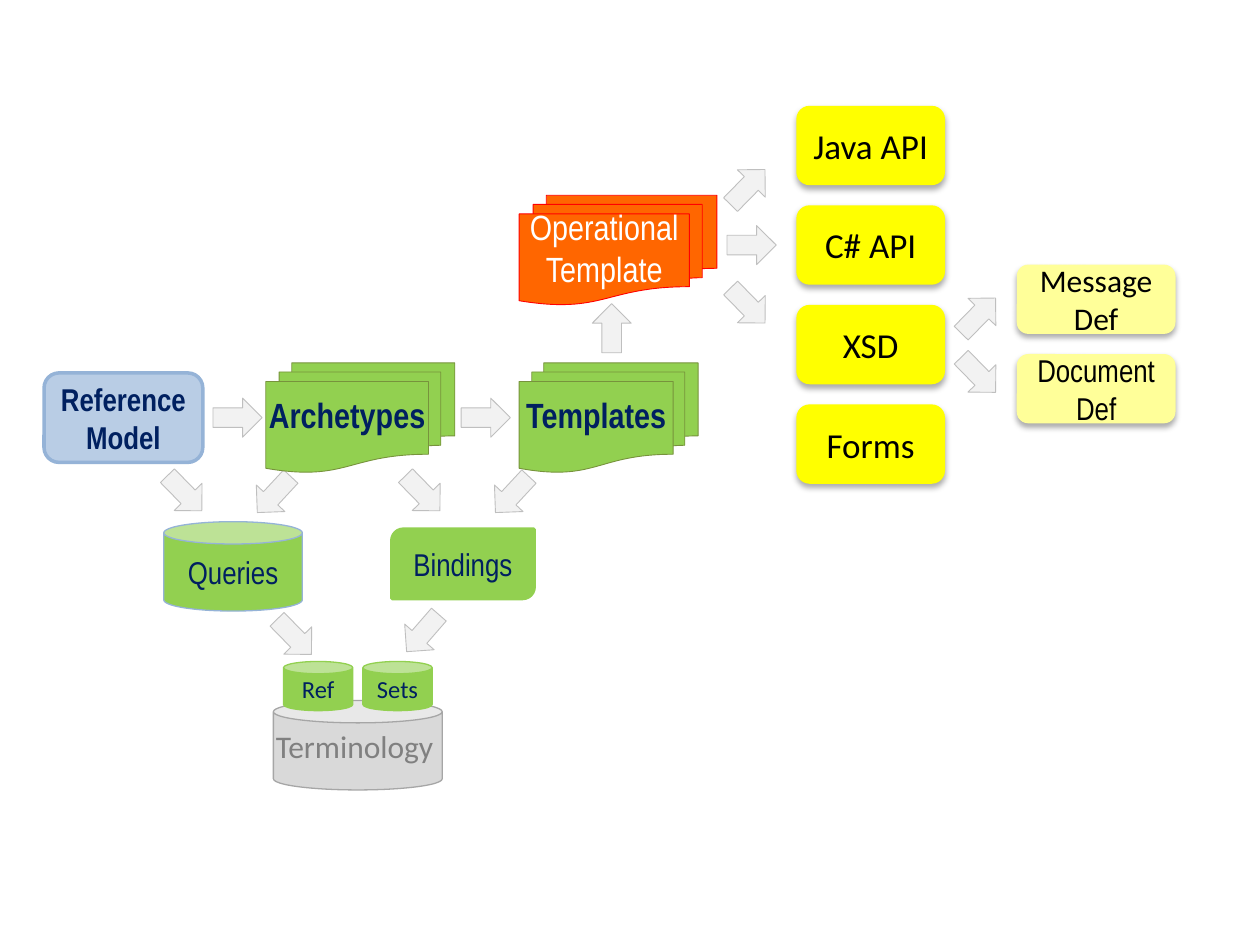
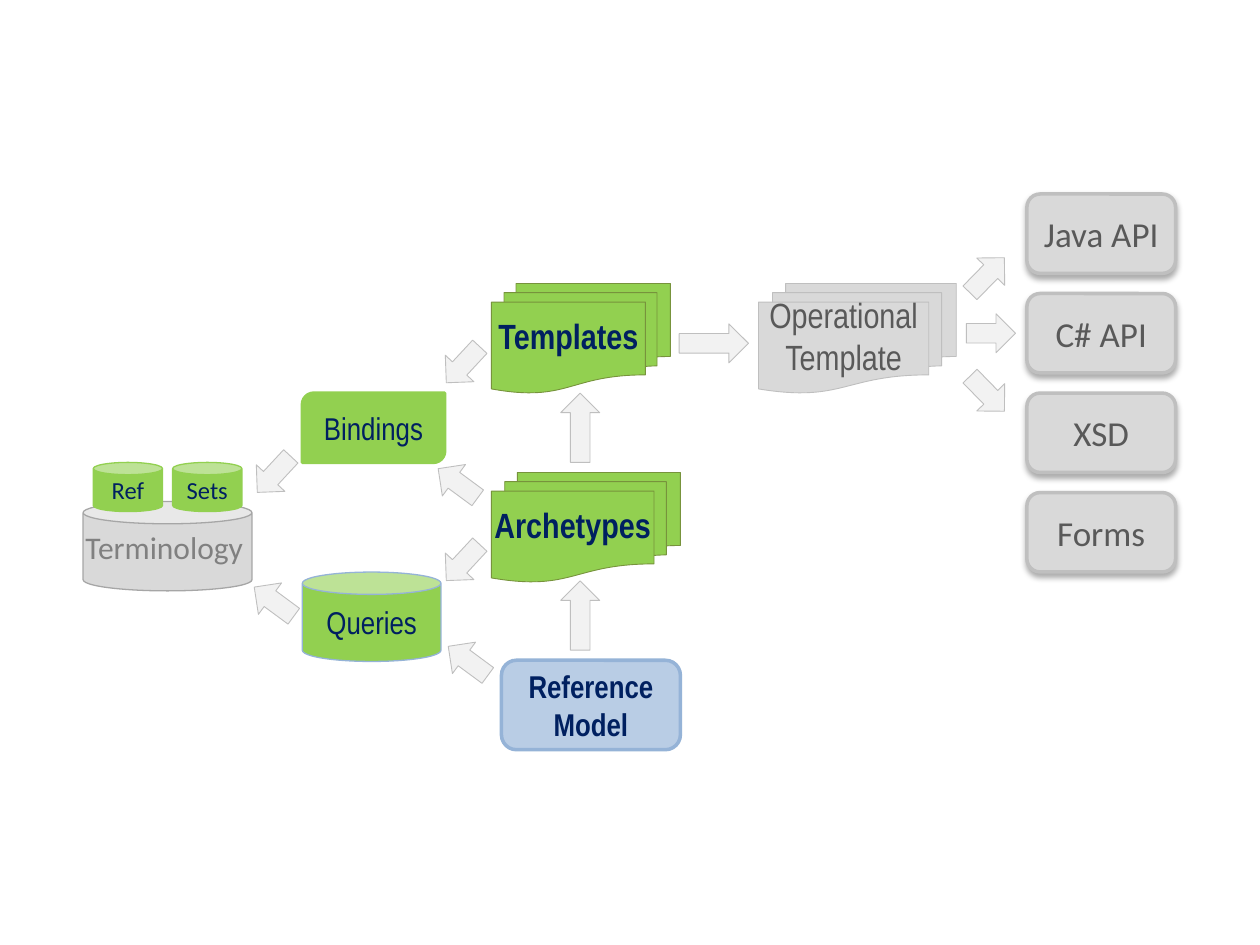
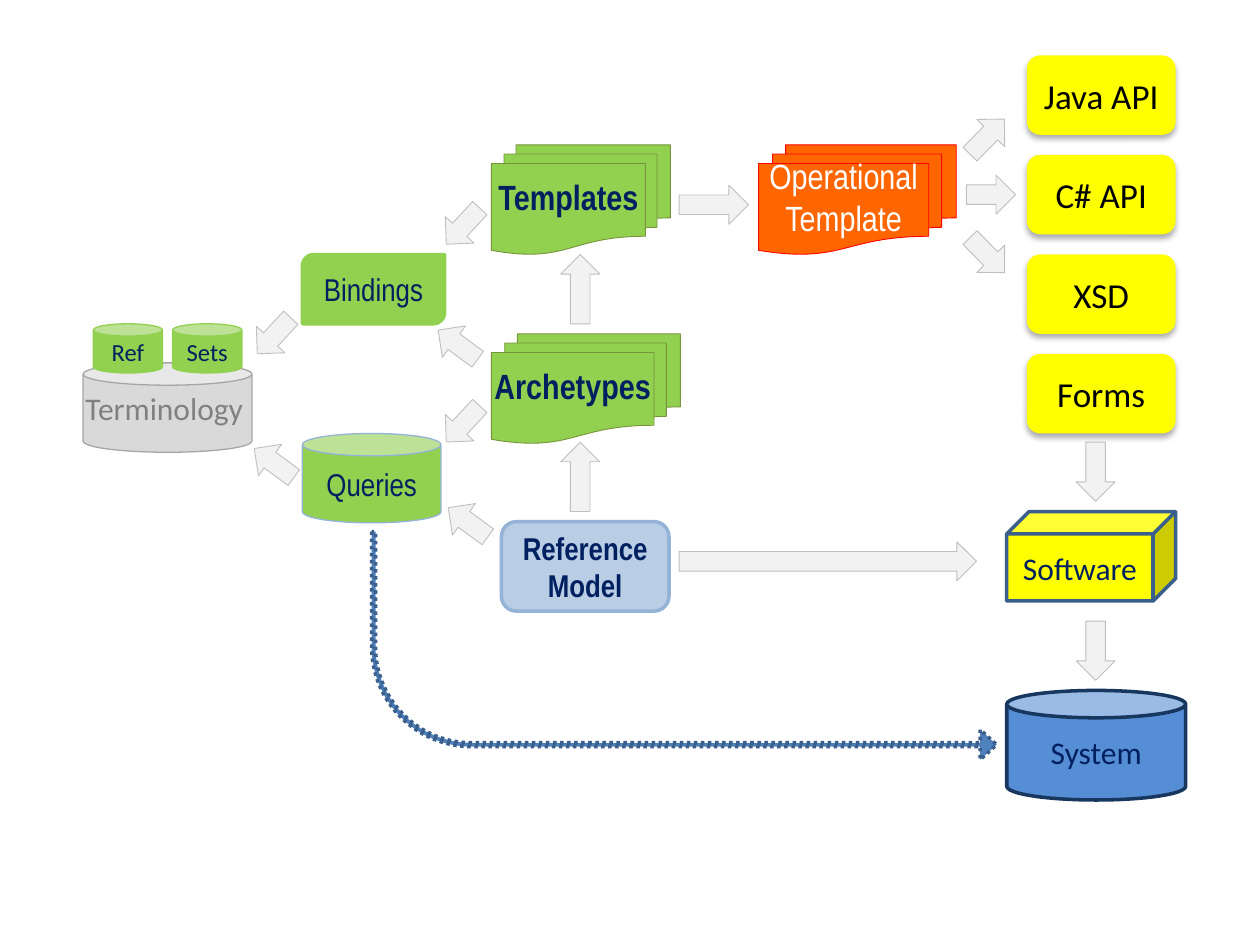
import dataclasses

import lxml.etree
import pptx
import pptx.dml.color
import pptx.enum.dml
import pptx.enum.shapes
import pptx.enum.text
import pptx.oxml.ns
import pptx.util

Inches = pptx.util.Inches
Pt = pptx.util.Pt
Shape = pptx.enum.shapes.MSO_SHAPE
qn = pptx.oxml.ns.qn


@dataclasses.dataclass(frozen=True)
class Theme:
    narrow: str = "Arial Narrow"
    sans: str = "Calibri"
    large: int = 20
    medium: int = 18
    small: int = 14
    hairline: float = 0.5
    thin: float = 0.75
    thick: float = 2
    navy: str = "002060"
    black: str = "000000"
    white: str = "FFFFFF"
    green: str = "92D050"
    dark_green: str = "77933C"
    pale_blue: str = "B9CDE5"
    soft_blue: str = "95B3D7"
    blue: str = "4F81BD"
    steel: str = "3A5F8C"
    bright_blue: str = "558ED5"
    deep_blue: str = "17375E"
    yellow: str = "FFFF00"
    pale_yellow: str = "FFFF99"
    orange: str = "FF6600"
    red: str = "FF0000"
    light_gray: str = "F2F2F2"
    gray: str = "D9D9D9"
    edge_gray: str = "BFBFBF"
    can_edge: str = "A6A6A6"
    label_gray: str = "808080"
    muted_text: str = "595959"


THEME = Theme()


@dataclasses.dataclass(frozen=True)
class Look:
    preset: int
    fill: str
    line: str | None = None
    weight: float = THEME.thin
    font: str = THEME.sans
    size: int = THEME.medium
    color: str = THEME.navy
    bold: bool = False
    insets: tuple = (0.1, 0.05, 0.1, 0.05)
    shadow: bool = False


DOCUMENT = Look(Shape.FLOWCHART_MULTIDOCUMENT, THEME.green, THEME.dark_green,
                THEME.hairline, THEME.narrow, THEME.large, bold=True,
                insets=(0, 0, 0, 0.16))
OPERATIONAL = dataclasses.replace(DOCUMENT, fill=THEME.orange, line=THEME.red,
                                  color=THEME.white, bold=False)
OPERATIONAL_MUTED = dataclasses.replace(OPERATIONAL, fill=THEME.gray, line=THEME.edge_gray,
                                        color=THEME.muted_text)
API = Look(Shape.ROUNDED_RECTANGLE, THEME.yellow, size=THEME.large,
           color=THEME.black, shadow=True)
API_MUTED = dataclasses.replace(API, fill=THEME.gray, line=THEME.edge_gray,
                                weight=THEME.thick, color=THEME.muted_text)
MESSAGE = dataclasses.replace(API, fill=THEME.pale_yellow, size=THEME.medium)
TIGHT = (0.04, 0.05, 0.04, 0.05)
SUBSET = Look(Shape.CAN, THEME.green, THEME.green, size=THEME.small)
ARROW = Look(Shape.RIGHT_ARROW, THEME.light_gray, THEME.edge_gray, THEME.hairline)
TERMINOLOGY = Look(Shape.CAN, THEME.gray, THEME.can_edge, color=THEME.label_gray)
QUERY_PATH = Look(Shape.BENT_ARROW, THEME.blue, THEME.steel, THEME.thick)

# Label: look, width, height
NODES = {
    "Reference Model": (Look(Shape.ROUNDED_RECTANGLE, THEME.pale_blue, THEME.soft_blue,
                             THEME.thick, THEME.narrow, bold=True), 1.42, 0.71),
    "Archetypes": (DOCUMENT, 1.5, 0.87),
    "Templates": (DOCUMENT, 1.42, 0.87),
    "Bindings": (Look(Shape.ROUND_2_DIAG_RECTANGLE, THEME.green, THEME.green,
                      THEME.thick, THEME.narrow, insets=TIGHT), 1.13, 0.55),
    "Queries": (Look(Shape.CAN, THEME.green, THEME.soft_blue, font=THEME.narrow), 1.1, 0.71),
    "Ref": (SUBSET, 0.55, 0.39),
    "Sets": (SUBSET, 0.55, 0.39),
    "Message Def": (MESSAGE, 1.26, 0.55),
    "Document Def": (dataclasses.replace(MESSAGE, font=THEME.narrow, insets=TIGHT), 1.26, 0.55),
    "Software": (Look(Shape.CUBE, THEME.yellow, THEME.steel, THEME.thick), 1.34, 0.71),
    "System": (Look(Shape.CAN, THEME.bright_blue, THEME.deep_blue, THEME.thick), 1.42, 0.87),
}
APIS = ("Java API", "C# API", "XSD", "Forms")
API_PITCH = 0.79
UP, DOWN = 270, 90
RISING, FALLING = 314.4, 45.6
DOWN_LEFT, UP_LEFT = 132.9, 216.4


def rgb(color):
    return pptx.dml.color.RGBColor.from_string(color)


class Diagram:
    def __init__(self, prs):
        self.prs = prs
        self.shapes = None

    def new_slide(self):
        self.shapes = self.prs.slides.add_slide(self.prs.slide_layouts[6]).shapes

    def label(self, tf, text, look):
        p = tf.paragraphs[0]
        r = p.add_run()
        r.text = text
        r.font.name = look.font
        r.font.size = Pt(look.size)
        r.font.bold = look.bold
        r.font.color.rgb = rgb(look.color)
        return p

    def shape(self, look, left, top, width, height, text=None):
        sp = self.shapes.add_shape(look.preset, *map(Inches, (left, top, width, height)))
        sp.fill.solid()
        sp.fill.fore_color.rgb = rgb(look.fill)
        if look.line:
            sp.line.color.rgb = rgb(look.line)
            sp.line.width = Pt(look.weight)
        else:
            sp.line.fill.background()
        sp.shadow.inherit = False
        if look.shadow:
            self.drop_shadow(sp)
        if text:
            tf = sp.text_frame
            tf.word_wrap = True
            tf.vertical_anchor = pptx.enum.text.MSO_ANCHOR.MIDDLE
            tf.margin_left, tf.margin_top, tf.margin_right, tf.margin_bottom = map(
                Inches, look.insets)
            self.label(tf, text, look).alignment = pptx.enum.text.PP_ALIGN.CENTER
        return sp

    def drop_shadow(self, sp):
        effects = sp._element.spPr.find(qn("a:effectLst"))
        shadow = lxml.etree.SubElement(
            effects, qn("a:outerShdw"), blurRad=str(Pt(3.5)), dist=str(Pt(2.2)),
            dir="5400000", rotWithShape="0")
        color = lxml.etree.SubElement(shadow, qn("a:srgbClr"), val=THEME.black)
        lxml.etree.SubElement(color, qn("a:alpha"), val="32000")

    def node(self, name, left, top, width=None):
        """Place a named node, at its usual width unless one is given."""
        look, usual, height = NODES[name]
        self.shape(look, left, top, width or usual, height, name)

    def arrow(self, left, top, rotation=0, width=0.39):
        self.shape(ARROW, left, top, width, 0.31).rotation = rotation

    def terminology(self, left, top):
        outer = self.shapes
        self.shapes = outer.add_group_shape().shapes
        self.shape(TERMINOLOGY, left, top, 1.34, 0.71)
        box = self.shapes.add_textbox(*map(Inches, (left - 0.08, top + 0.16, 1.49, 0.4)))
        box.text_frame.word_wrap = False
        self.label(box.text_frame, "Terminology", TERMINOLOGY)
        self.node("Ref", left + 0.08, top - 0.31)
        self.node("Sets", left + 0.71, top - 0.31)
        self.shapes = outer

    def generated_apis(self, left, top, api_left, muted=False):
        """Operational template, its fan of arrows and the column of outputs."""
        fan_left, fan_top = left + 1.62, top - 0.22
        self.arrow(fan_left, fan_top, RISING)
        self.arrow(fan_left + 0.03, fan_top + 0.46)
        self.arrow(fan_left, fan_top + 0.94, FALLING)
        self.shape(OPERATIONAL_MUTED if muted else OPERATIONAL,
                   left, top, 1.57, 0.87, "Operational Template")
        for i, name in enumerate(APIS):
            self.shape(API_MUTED if muted else API, api_left,
                       top - 0.71 + i * API_PITCH, 1.18, 0.63, name)

    def query_path(self, left, top, width, height):
        sp = self.shape(QUERY_PATH, left, top, width, height)
        for i, value in enumerate((0.017, 0.066, 0.072, 0.438)):
            sp.adjustments[i] = value
        sp.line.dash_style = pptx.enum.dml.MSO_LINE.ROUND_DOT
        sp._element.spPr.find(qn("a:xfrm")).set("flipV", "1")

    def model_stack(self, top, reference_width, muted=False):
        """Reference model at the foot, leading up to templates and outputs."""
        self.node("Reference Model", 3.98, top + 2.99, reference_width)
        self.node("Bindings", 2.4, top + 0.87)
        self.terminology(0.66, top + 1.73)
        self.node("Archetypes", 3.9, top + 1.5)
        self.node("Templates", 3.9, top)
        self.node("Queries", 2.4, top + 2.29)
        for left, offset, rotation in (
            (3.48, 0.49, DOWN_LEFT), (3.48, 2.06, DOWN_LEFT), (1.98, 1.36, DOWN_LEFT),
            (3.44, 1.43, UP_LEFT), (3.52, 2.84, UP_LEFT), (1.98, 2.37, UP_LEFT),
        ):
            self.arrow(left, top + offset, rotation)
        for offset in (0.99, 2.48):
            self.arrow(4.33, top + offset, UP, 0.55)
        self.arrow(5.39, top + 0.32, width=0.55)
        self.generated_apis(6.02, top, 8.15, muted)


def left_to_right_slide(d):
    d.new_slide()
    d.terminology(2.17, 5.56)
    d.node("Reference Model", 0.35, 2.96, 1.26)
    d.node("Bindings", 3.11, 4.2)
    for left, top, rotation in (
        (1.69, 3.16, 0), (3.66, 3.16, 0), (4.66, 2.45, UP),
        (1.27, 3.76, FALLING), (3.16, 3.76, FALLING), (2.14, 4.9, FALLING),
        (1.98, 3.77, DOWN_LEFT), (3.87, 3.77, DOWN_LEFT), (3.16, 4.87, 131),
        (7.57, 2.35, RISING), (7.57, 2.82, FALLING),
    ):
        d.arrow(left, top, rotation)
    d.node("Archetypes", 2.11, 2.88)
    d.node("Templates", 4.12, 2.88)
    d.node("Queries", 1.3, 4.14)
    d.generated_apis(4.12, 1.55, 6.32)
    d.node("Message Def", 8.07, 2.1)
    d.node("Document Def", 8.07, 2.81)


def model_slide(d):
    d.new_slide()
    d.model_stack(2.25, 1.42, muted=True)


def system_slide(d):
    d.new_slide()
    d.model_stack(1.15, 1.33)
    d.arrow(5.39, 4.3, width=2.36)
    for top in (3.59, 5.01):
        d.arrow(8.46, top, DOWN, 0.47)
    d.node("Software", 7.99, 4.06)
    d.node("System", 7.99, 5.48)
    d.query_path(2.95, 4.22, 4.96, 1.81)


def main():
    prs = pptx.Presentation()
    prs.slide_width, prs.slide_height = Inches(10), Inches(7.5)
    d = Diagram(prs)
    left_to_right_slide(d)
    model_slide(d)
    system_slide(d)
    prs.save("out.pptx")


if __name__ == "__main__":
    main()
